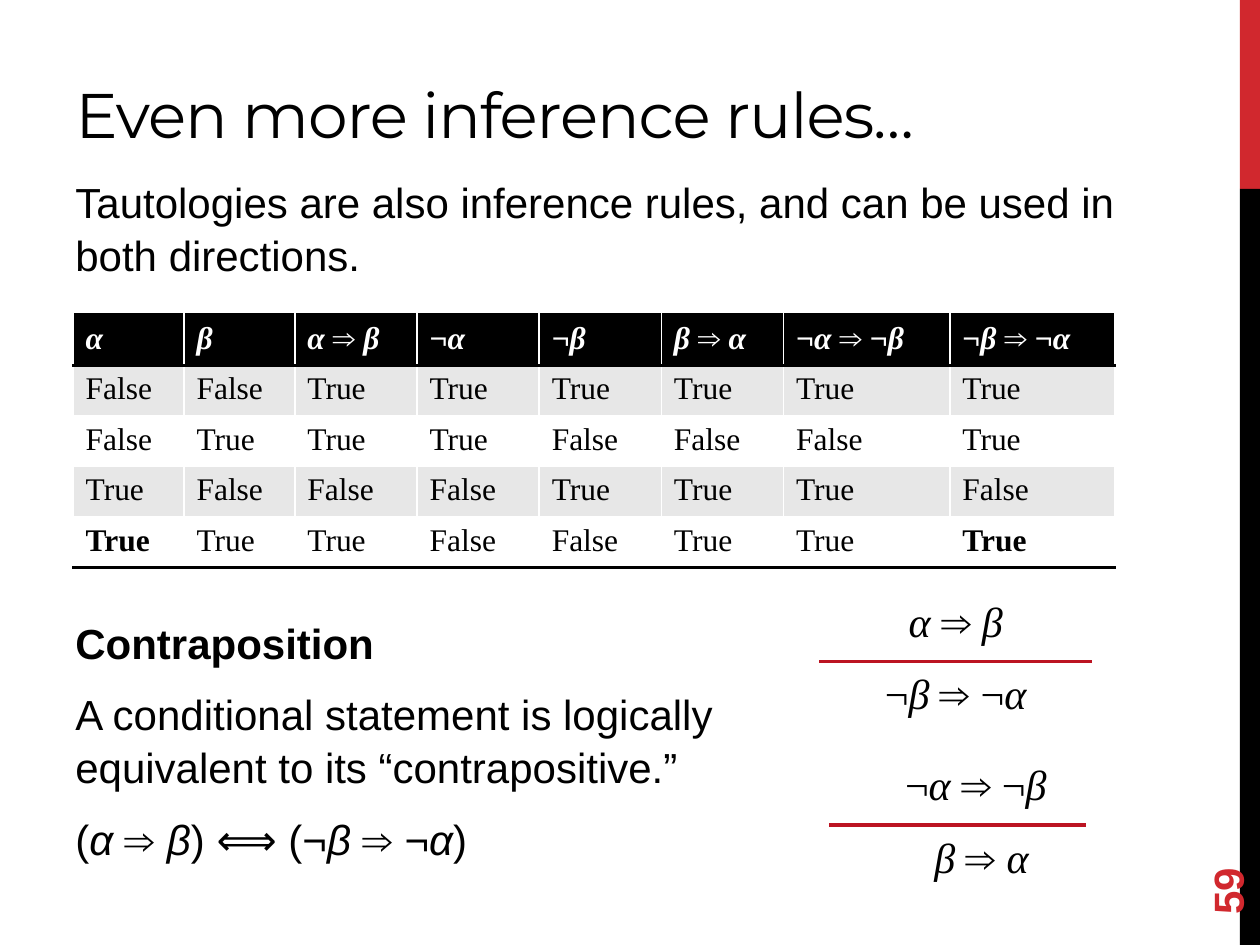
import itertools

import pptx
import pptx.dml.color
import pptx.enum.shapes
import pptx.enum.text
import pptx.oxml.ns
import pptx.util
from lxml import etree

Inches = pptx.util.Inches
Pt = pptx.util.Pt
RGBColor = pptx.dml.color.RGBColor
Align = pptx.enum.text.PP_ALIGN
Anchor = pptx.enum.text.MSO_ANCHOR
qn = pptx.oxml.ns.qn

RED = RGBColor(0xD1, 0x28, 0x2E)
RULE = RGBColor(0xBC, 0x14, 0x22)
BLACK = RGBColor(0, 0, 0)
WHITE = RGBColor(255, 255, 255)
GRAY = RGBColor(0xE7, 0xE7, 0xE7)
SANS = "Arial"
SERIF = "Times New Roman"

HEADS = ["α", "β", "α ⇒ β", "¬α", "¬β", "β ⇒ α", "¬α ⇒ ¬β", "¬β ⇒ ¬α"]
TRUTH = ["FFTTTTTT", "FTTTFFFT", "TFFFTTTF", "TTTFFTTT"]
WORDS = {"T": "True", "F": "False"}
COLS = [0.88, 0.88, 0.97, 0.97, 0.97, 0.97, 1.32, 1.31]


def style(para, size, face, color=BLACK, bold=False):
    font = para.font
    font.size, font.name, font.bold = Pt(size), face, bold
    font.color.rgb = color


def write(para, text):
    """Add text with its Greek variables in italics."""
    for greek, part in itertools.groupby(text, lambda c: c in "αβ"):
        run = para.add_run()
        run.text = "".join(part)
        if greek:
            run.font.italic = True


def add_text(slide, box, lines, face=SANS):
    shape = slide.shapes.add_textbox(*map(Inches, box))
    frame = shape.text_frame
    frame.word_wrap = True
    for i, line in enumerate(lines):
        para = frame.paragraphs[0] if i == 0 else frame.add_paragraph()
        write(para, line)
        style(para, 24, face)
    return shape


def add_bar(slide, box, color):
    bar = slide.shapes.add_shape(
        pptx.enum.shapes.MSO_SHAPE.RECTANGLE, *map(Inches, box))
    bar.shadow.inherit = False
    bar.fill.solid()
    bar.fill.fore_color.rgb = color
    bar.line.fill.background()


def add_title(slide, box, text):
    title = slide.shapes.title
    title.left, title.top, title.width, title.height = map(Inches, box)
    frame = title.text_frame
    frame.vertical_anchor = Anchor.BOTTOM
    para = frame.paragraphs[0]
    run = para.add_run()
    run.text = text
    run.font._element.set("spc", "-60")
    para.alignment = Align.LEFT
    style(para, 36, "Montserrat")


def add_intro(slide, box):
    shape = add_text(slide, box, [
        "Tautologies are also inference rules, and can be used in "
        "both directions."])
    shape.text_frame.paragraphs[0].line_spacing = 1.05


def add_edge(cell, side):
    """Draw a black border; borders come before the fill in the cell."""
    props = cell._tc.get_or_add_tcPr()
    edge = etree.Element(qn("a:" + side), w=str(Pt(2)))
    fill = etree.SubElement(edge, qn("a:solidFill"))
    etree.SubElement(fill, qn("a:srgbClr"), val=str(BLACK))
    props.insert(len(props) - 1, edge)


def add_truth(slide, box):
    rows = [HEADS] + [[WORDS[c] for c in row] for row in TRUTH]
    last = len(rows) - 1
    table = slide.shapes.add_table(
        len(rows), len(COLS), *map(Inches, box)).table
    for col, width in zip(table.columns, COLS):
        col.width = Inches(width)
    for r, row in enumerate(rows):
        for c, text in enumerate(row):
            cell = table.cell(r, c)
            cell.fill.solid()
            cell.fill.fore_color.rgb = (
                BLACK if r == 0 else GRAY if r % 2 else WHITE)
            para = cell.text_frame.paragraphs[0]
            write(para, text)
            # The rows where the first and last columns agree
            strong = r == 0 or r == last and c in (0, len(COLS) - 1)
            style(para, 18, SERIF, BLACK if r else WHITE, strong)
            if r == 0:
                add_edge(cell, "lnT")
            if r in (0, last):
                add_edge(cell, "lnB")


def add_body(slide, box):
    shape = add_text(slide, box, [
        "Contraposition",
        "A conditional statement is logically equivalent to its "
        "“contrapositive.”",
        "(α ⇒ β) ⟺ (¬β ⇒ ¬α)"])
    for i, para in enumerate(shape.text_frame.paragraphs):
        para.line_spacing = 1.05
        para.space_after = Pt(6)
        if i:
            para.space_before = Pt(4.8)
        para.font.bold = i == 0


def add_proof(slide, box, given, result, widths):
    """Premise over a rule over conclusion; widths are for these three."""
    left, top, height = box
    mid = top + height
    over, rule, under = widths
    for text, y, width in ((given, top, over), (result, mid, under)):
        shape = add_text(slide, (left, y, width, 0.5), [text], SERIF)
        shape.text_frame.paragraphs[0].alignment = Align.CENTER
    line = slide.shapes.add_connector(
        pptx.enum.shapes.MSO_CONNECTOR.STRAIGHT,
        Inches(left), Inches(mid), Inches(left + rule), Inches(mid))
    line.line.color.rgb = RULE
    line.line.width = Pt(2.25)
    etree.SubElement(line._element.spPr, qn("a:effectLst"))


def add_number(slide, box, text):
    shape = add_text(slide, box, [text])
    shape.rotation = 270
    shape.text_frame.margin_top = Inches(0.08)
    style(shape.text_frame.paragraphs[0], 24, SANS, RED, True)


def main():
    deck = pptx.Presentation()
    deck.slide_width, deck.slide_height = Inches(10), Inches(7.5)
    slide = deck.slides.add_slide(deck.slide_layouts[5])

    # Side stripe
    add_bar(slide, (9.84, 0, 0.16, 1.5), RED)
    add_bar(slide, (9.84, 1.5, 0.16, 6), BLACK)

    # Title, lead and truth table
    add_title(slide, (0.5, 0.17, 8, 1.08), "Even more inference rules…")
    add_intro(slide, (0.5, 1.33, 8.92, 0.91))
    add_truth(slide, (0.58, 2.5, 8.25, 2))

    # Contraposition and its two proofs
    add_body(slide, (0.5, 4.83, 5.54, 2.5))
    add_proof(slide, (6.5, 4.68, 0.57), "α ⇒ β", "¬β ⇒ ¬α",
              (2.17, 2.17, 2.17))
    add_proof(slide, (6.58, 5.97, 0.58), "¬α ⇒ ¬β", "β ⇒ α",
              (2.33, 2.04, 2.42))

    # Slide number
    add_number(slide, (8.94, 6.44, 1.44, 0.4), "59")
    deck.save("out.pptx")


if __name__ == "__main__":
    main()
